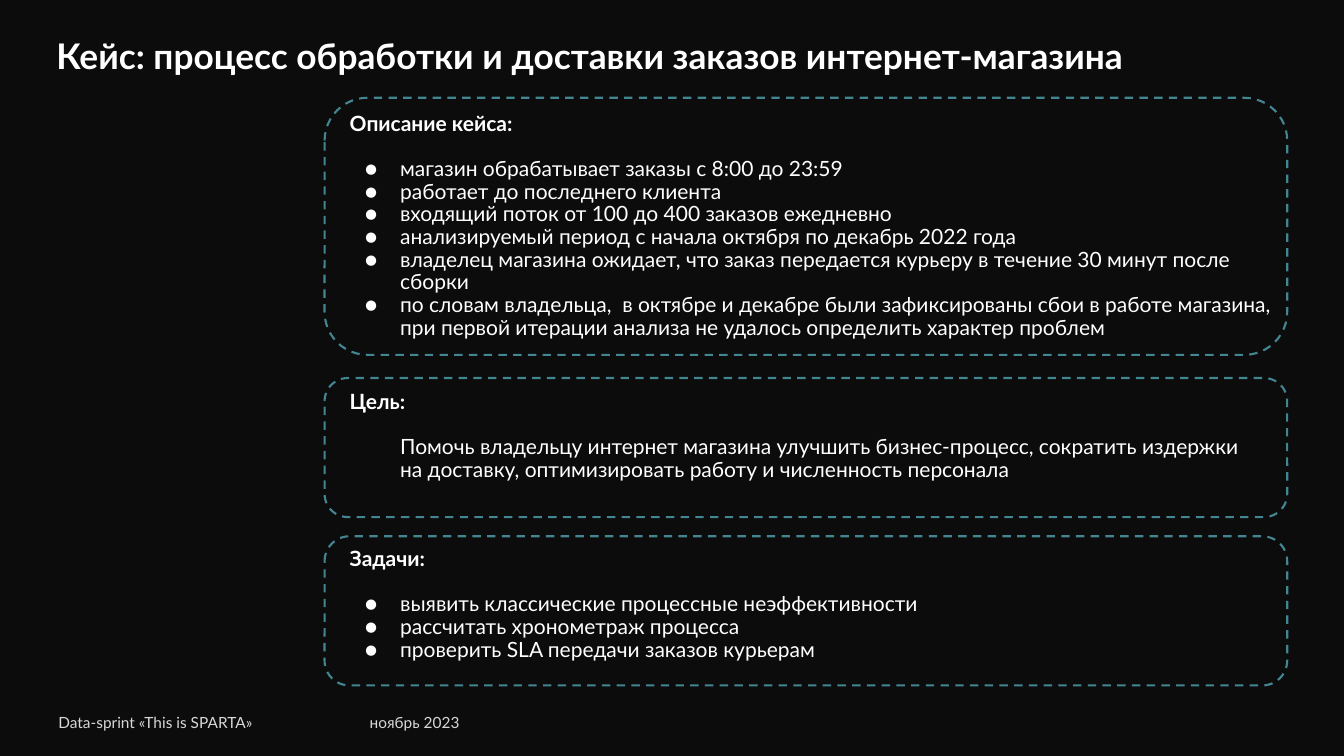
from dataclasses import dataclass

from lxml import etree
from pptx import Presentation
from pptx.dml.color import RGBColor
from pptx.enum.dml import MSO_LINE
from pptx.enum.shapes import MSO_SHAPE
from pptx.enum.text import MSO_ANCHOR
from pptx.oxml.ns import qn
from pptx.util import Pt

ROUNDED = MSO_SHAPE.ROUNDED_RECTANGLE
DASH = MSO_LINE.DASH
TOP, MIDDLE = MSO_ANCHOR.TOP, MSO_ANCHOR.MIDDLE


@dataclass(frozen=True)
class Theme:
    font: str = "Lato"
    background: RGBColor = RGBColor(0x0C, 0x0C, 0x0C)
    text: RGBColor = RGBColor(0xFF, 0xFF, 0xFF)
    muted: RGBColor = RGBColor(0xD8, 0xD8, 0xD8)
    frame: RGBColor = RGBColor(0x43, 0x86, 0x92)
    title_size: float = 25.2
    body_size: float = 15
    footer_size: float = 11


theme = Theme()
LINE_SPACING = 0.9
BLANK_LINE = 16.2
INDENT, HANGING = 36, -25.2

prs = Presentation()
prs.slide_width, prs.slide_height = Pt(960), Pt(540)
s = prs.slides.add_slide(prs.slide_layouts[6])
s.background.fill.solid()
s.background.fill.fore_color.rgb = theme.background


def add_text(box, lines, size, color, bold_first=False, inset=(7.2, 3.6), anchor=TOP):
    """Add a text box with one paragraph per line and return its paragraphs."""
    tf = s.shapes.add_textbox(*map(Pt, box)).text_frame
    tf.word_wrap = True
    tf.vertical_anchor = anchor
    tf.margin_left = tf.margin_right = Pt(inset[0])
    tf.margin_top = tf.margin_bottom = Pt(inset[1])
    tf.text = "\n".join(lines)
    for i, p in enumerate(tf.paragraphs):
        for r in p.runs:
            r.font.name = theme.font
            r.font.size = Pt(size)
            r.font.color.rgb = color
            r.font.bold = bold_first and i == 0
    return tf.paragraphs


def indent(p, bullet):
    pPr = p._p.get_or_add_pPr()
    pPr.set("marL", str(Pt(INDENT)))
    pPr.set("indent", str(Pt(HANGING if bullet else 0)))
    if bullet:
        color = etree.SubElement(pPr, qn("a:buClr"))
        etree.SubElement(color, qn("a:srgbClr"), val=str(theme.text))
        etree.SubElement(pPr, qn("a:buFont"), typeface=theme.font)
        etree.SubElement(pPr, qn("a:buChar"), char="●")


# Footer and title
add_text((34.56, 506.16, 169.2, 33.84), ["Data-sprint «This is SPARTA»"],
         theme.footer_size, theme.muted)
add_text((257.04, 506.16, 81.36, 20.88), ["ноябрь 2023"],
         theme.footer_size, theme.muted)
title = add_text((33.12, 26.64, 835.92, 29.52),
                 ["Кейс: процесс обработки и доставки заказов интернет-магазина"],
                 theme.title_size, theme.text, bold_first=True, anchor=MIDDLE)
title[0].line_spacing = LINE_SPACING

# Sections: frame top, frame height, text top, text height, bulleted, heading, lines
sections = [
    (69.84, 183.6, 78.48, 167.76, True, "Описание кейса:", [
        "магазин обрабатывает заказы с 8:00 до 23:59",
        "работает до последнего клиента",
        "входящий поток от 100 до 400 заказов ежедневно",
        "анализируемый период с начала октября по декабрь 2022 года",
        "владелец магазина ожидает, что заказ передается курьеру "
        "в течение 30 минут после сборки",
        "по словам владельца,  в октябре и декабре были зафиксированы сбои "
        "в работе магазина, при первой итерации анализа не удалось "
        "определить характер проблем",
    ]),
    (270, 99.36, 277.2, 85.68, False, "Цель:", [
        "Помочь владельцу интернет магазина улучшить бизнес-процесс, "
        "сократить издержки",
        "на доставку, оптимизировать работу и численность персонала",
    ]),
    (383.04, 106.56, 389.52, 85.68, True, "Задачи:", [
        "выявить классические процессные неэффективности",
        "рассчитать хронометраж процесса",
        "проверить SLA передачи заказов курьерам",
    ]),
]
for top, height, text_top, text_height, bulleted, heading, lines in sections:
    frame = s.shapes.add_shape(ROUNDED, Pt(231.84), Pt(top), Pt(687.6), Pt(height))
    frame.shadow.inherit = False
    frame.fill.background()
    frame.line.color.rgb = theme.frame
    frame.line.width = Pt(1.5)
    frame.line.dash_style = DASH

    paragraphs = add_text((247.68, text_top, 671.76, text_height), [heading, *lines],
                          theme.body_size, theme.text, bold_first=True,
                          inset=(2.16, 2.16))
    for p in paragraphs:
        p.line_spacing = LINE_SPACING
    paragraphs[0].space_after = Pt(BLANK_LINE)
    for p in paragraphs[1:]:
        indent(p, bulleted)

prs.save("out.pptx")
